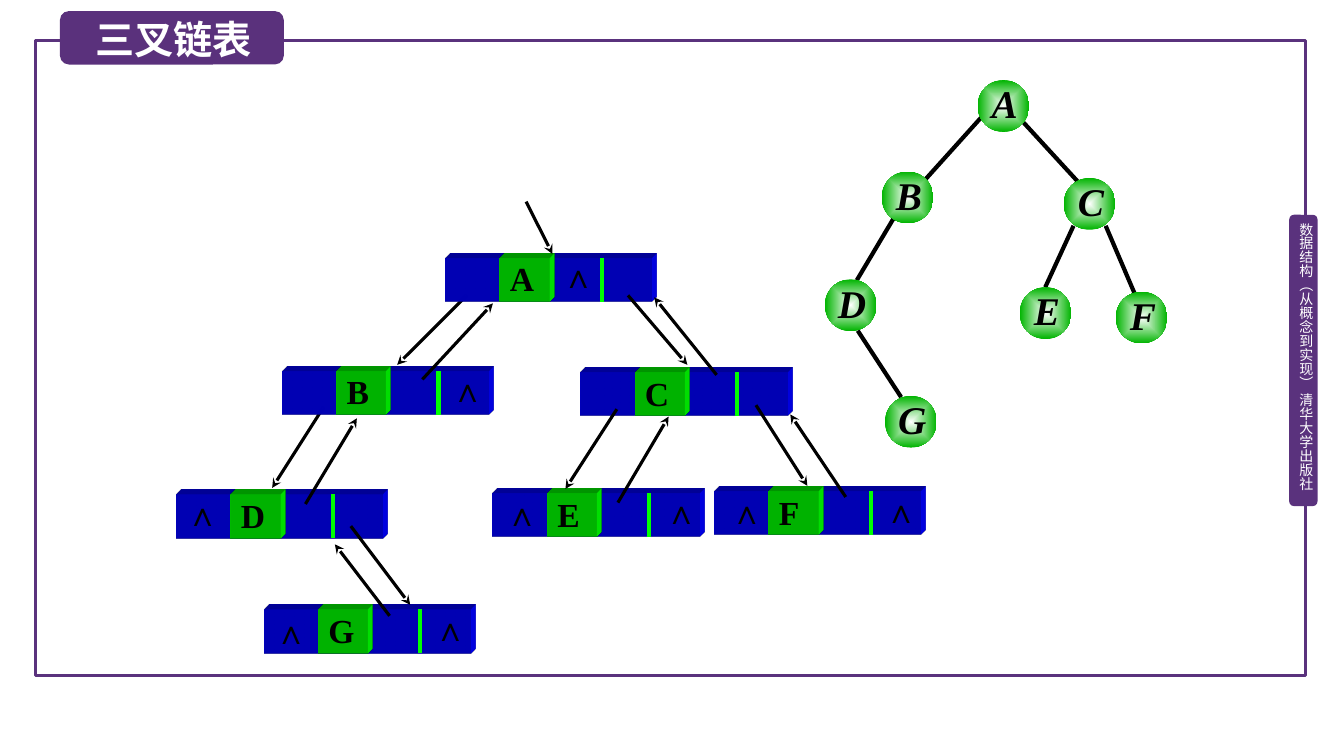
import pptx
import pptx.dml.color
import pptx.enum.dml
import pptx.enum.shapes
import pptx.enum.text
import pptx.oxml
import pptx.oxml.ns
import pptx.util

Pt = pptx.util.Pt
RGBColor = pptx.dml.color.RGBColor
SHAPE = pptx.enum.shapes.MSO_SHAPE
ALIGN = pptx.enum.text.PP_ALIGN
ANCHOR = pptx.enum.text.MSO_ANCHOR
qn = pptx.oxml.ns.qn

PURPLE = RGBColor(0x5A, 0x32, 0x7D)
TITLE_PURPLE = RGBColor(0x5A, 0x31, 0x7C)
BLUE = RGBColor(0x00, 0x00, 0xFF)
LIME = RGBColor(0x01, 0xFF, 0x01)
GREEN = RGBColor(0x00, 0xB4, 0x00)
BLACK = RGBColor(0x00, 0x00, 0x00)
WHITE = RGBColor(0xFF, 0xFF, 0xFF)

SERIF = "Times New Roman"
CJK = "Noto Sans CJK SC"
CIRCLE = 36.9
RECORD_W, RECORD_H = 147.6, 31

TREE_EDGES = [
    (700.6, 84.2, 661, 128.2), (730.1, 86.4, 770.4, 130.3),
    (638.6, 155.5, 612, 200.2), (612.7, 236.2, 643.7, 283.7),
    (766.8, 161.3, 746.6, 205.2), (789.8, 161.3, 810.7, 210.2),
]
TREE_NODES = {
    "A": (698.3, 57.3), "B": (629.8, 122.6), "C": (759.8, 127.2),
    "D": (589.2, 199.6), "E": (728.4, 205.2), "F": (797, 208.4),
    "G": (632.2, 282.8),
}
# Left and top of each record, then the offsets of its null pointers
RECORDS = {
    "A": (318.2, 184.5, [(77, -3)]),
    "B": (201.6, 265.2, [(114.5, -2.4)]),
    "D": (126, 353.5, [(0.7, -2.2)]),
    "E": (352.1, 352.6, [(116.6, -2.6), (2.9, -1.2)]),
    "F": (510.3, 351.2, [(115.4, -2), (5.2, -1.3)]),
    "C": (414.7, 266.2, []),
    "G": (188.6, 435.7, [(115.2, -2.3), (1.4, -0.1)]),
}
ARROWS_BEHIND = [(231.1, 290.9, 194.4, 348.5), (333.4, 211, 283.7, 260.6)]
ARROWS_IN_FRONT = [
    (375.8, 144, 394.6, 181.4), (448.6, 211, 491, 260.6),
    (301.7, 271, 352.1, 216.7), (218.2, 360, 254.9, 298.8),
    (441.4, 359, 477.6, 297.6), (440.6, 292.3, 403.9, 349.2),
    (250.6, 375.8, 293, 432), (278.3, 439.9, 239.2, 388.8),
    (604.1, 355, 564.5, 296), (511.9, 267.8, 467.3, 212.4),
    (540, 289.4, 576.7, 347),
]


def xml(tag, attributes="", inner=""):
    namespace = pptx.oxml.ns.nsdecls("a")
    return pptx.oxml.parse_xml(f"<a:{tag} {namespace} {attributes}>{inner}</a:{tag}>")


def add_block(slide, kind, left, top, width, height, fill=None):
    block = slide.shapes.add_shape(kind, Pt(left), Pt(top), Pt(width), Pt(height))
    block.shadow.inherit = False
    block.line.fill.background()
    if fill is None:
        block.fill.background()
    else:
        block.fill.solid()
        block.fill.fore_color.rgb = fill
    return block


def write(holder, text, size, color, margins, align=None, face=SERIF, bold=False, italic=False):
    """Put one formatted line into a shape; margins run left, top, right, bottom."""
    frame = holder.text_frame
    frame.word_wrap = True
    frame.margin_left, frame.margin_top, frame.margin_right, frame.margin_bottom = map(Pt, margins)
    frame.vertical_anchor = ANCHOR.TOP
    frame.text = text
    paragraph = frame.paragraphs[0]
    paragraph.alignment = align
    run = paragraph.runs[0]
    run.font.size = Pt(size)
    run.font.name = face
    run.font.bold = bold
    run.font.italic = italic
    run.font.color.rgb = color
    east_asian = SERIF if face == SERIF else CJK
    run.font._element.append(xml("ea", f'typeface="{east_asian}"'))


def add_label(slide, left, top, width, height, text, size, color, margins, **style):
    label = slide.shapes.add_textbox(Pt(left), Pt(top), Pt(width), Pt(height))
    write(label, text, size, color, margins, **style)
    return label


def add_line(slide, ends, width, color=BLACK, arrow=False):
    line = slide.shapes.add_connector(
        pptx.enum.shapes.MSO_CONNECTOR.STRAIGHT, *map(Pt, ends))
    line.line.color.rgb = color
    line.line.width = Pt(width)
    if arrow:
        line.line._get_or_add_ln().append(xml("tailEnd", 'type="stealth"'))
    line._element.spPr.append(xml("effectLst"))


def extrude(block, color):
    """Give a block a shallow depth towards the top right."""
    properties = block._element.spPr
    properties.append(xml(
        "scene3d", "",
        '<a:camera prst="legacyObliqueTopRight"/><a:lightRig rig="legacyFlat3" dir="b"/>'))
    properties.append(xml(
        "sp3d", f'extrusionH="{Pt(10)}" prstMaterial="legacyMatrix"',
        f'<a:extrusionClr><a:srgbClr val="{color}"/></a:extrusionClr>'))


def add_tree_node(slide, name, left, top):
    circle = add_block(slide, SHAPE.OVAL, left, top, CIRCLE, CIRCLE)
    circle.fill.gradient()
    for stop, color, position in zip(circle.fill.gradient_stops, (WHITE, GREEN), (0, 1)):
        stop.color.rgb = color
        stop.position = position
    gradient = circle._element.spPr.find(qn("a:gradFill"))
    gradient.remove(gradient.find(qn("a:lin")))
    gradient.append(xml("path", 'path="shape"',
                        '<a:fillToRect l="50000" t="50000" r="50000" b="50000"/>'))
    add_label(slide, left + 3.9, top - 3.3, 31, 48.2, name, 28, BLACK, (0, 2.9, 0, 0),
              align=ALIGN.CENTER, bold=True, italic=True)


def add_record(slide, name, left, top, nulls):
    """A list record: parted cells, the data cell, and its null pointers."""
    body = add_block(slide, SHAPE.RECTANGLE, left, top, RECORD_W, RECORD_H, BLUE)
    extrude(body, BLUE)
    data = add_block(slide, SHAPE.RECTANGLE, left + 38.9, top, 35.3, RECORD_H, LIME)
    extrude(data, LIME)
    write(data, name, 24, BLACK, (7.2, 0, 1.4, 0.7), align=ALIGN.JUSTIFY, bold=True)
    divider = left + 111.6
    add_line(slide, (divider, top - 0.4, divider, top + RECORD_H), 3, LIME)
    for right, down in nulls:
        add_label(slide, left + right, top + down, 33.1, 28.8, "∧", 24, BLACK,
                  (4.3, 0.7, 1.4, 0.7), align=ALIGN.CENTER, bold=True)


def add_frame(slide):
    border = add_block(slide, SHAPE.RECTANGLE, 25.2, 28.8, 907.2, 453.6)
    border.line.color.rgb = PURPLE
    border.line.width = Pt(2.25)
    add_block(slide, SHAPE.ROUNDED_RECTANGLE, 920.9, 153.4, 20.2, 208.1, PURPLE)
    source = add_label(slide, 926.6, 159.1, 12.2, 202.3,
                       "数据结构（从概念到实现） 清华大学出版社", 10, WHITE,
                       (0, 0, 0, 0), face=CJK)
    source.text_frame._txBody.bodyPr.set("vert", "eaVert")


def add_title(slide):
    badge = add_block(slide, SHAPE.ROUNDED_RECTANGLE, 42.8, 7.9, 160, 38.2, TITLE_PURPLE)
    badge.adjustments[0] = 0.17
    title = add_label(slide, 34.6, 9.4, 179.3, 35.3, "三叉链表", 28, WHITE,
                      (0, 0.7, 0, 0), align=ALIGN.CENTER, face="Calibri", bold=True)
    title.text_frame.vertical_anchor = ANCHOR.MIDDLE
    title.text_frame.paragraphs[0].runs[0].font._element.set("spc", "-10")


def main():
    presentation = pptx.Presentation()
    presentation.slide_width, presentation.slide_height = Pt(960), Pt(540)
    slide = presentation.slides.add_slide(presentation.slide_layouts[6])
    add_frame(slide)
    for edge in TREE_EDGES:
        add_line(slide, edge, 3)
    for name, (left, top) in TREE_NODES.items():
        add_tree_node(slide, name, left, top)
    for arrow in ARROWS_BEHIND:
        add_line(slide, arrow, 2.25, arrow=True)
    for name, (left, top, nulls) in RECORDS.items():
        add_record(slide, name, left, top, nulls)
    for arrow in ARROWS_IN_FRONT:
        add_line(slide, arrow, 2.25, arrow=True)
    add_title(slide)
    presentation.save("out.pptx")


if __name__ == "__main__":
    main()
